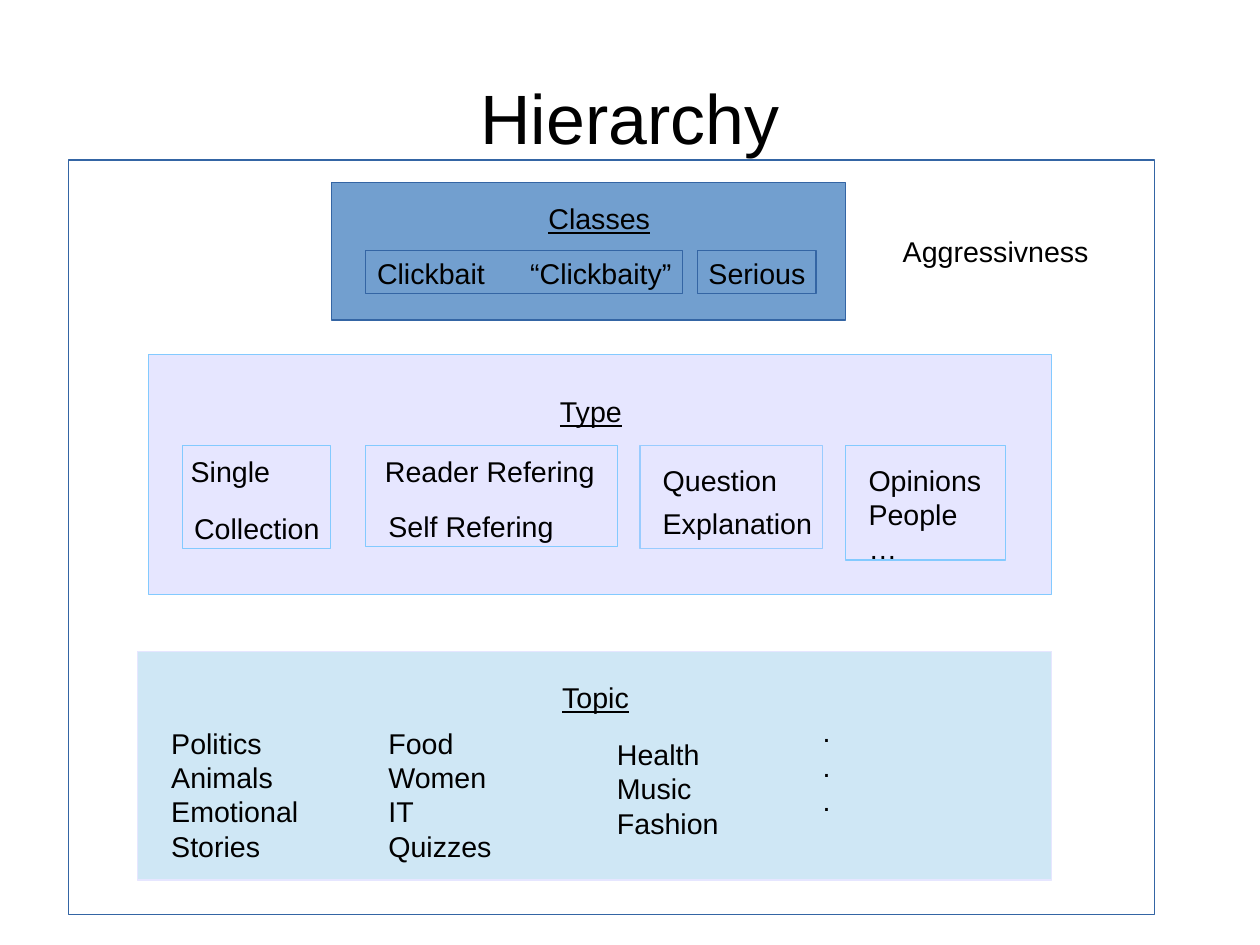
from pptx import Presentation
from pptx import util as u
from pptx.dml import color
from pptx.enum import shapes, text

BLACK, NAVY, SKY = "000000", "3465A4", "83CAFF"
CM_PER_INCH = 2.54


def rgb(hex_code):
    return color.RGBColor.from_string(hex_code)


class HierarchySlide:
    font = "Arial"
    body_size = 18
    slack = 0.04  # keeps a one-line label from breaking

    def __init__(self, deck):
        self.slide = deck.slides.add_slide(deck.slide_layouts[6])

    def box(self, left, top, width, height, line, fill=None):
        rect = self.slide.shapes.add_shape(
            shapes.MSO_SHAPE.RECTANGLE, u.Inches(left), u.Inches(top),
            u.Inches(width), u.Inches(height))
        rect.shadow.inherit = False
        if fill:
            rect.fill.solid()
            rect.fill.fore_color.rgb = rgb(fill)
        else:
            rect.fill.background()
        rect.line.color.rgb = rgb(line)
        rect.line.width = u.Pt(0)

    def frame(self, left, top, width, height, wrap):
        frame = self.slide.shapes.add_textbox(
            u.Inches(left), u.Inches(top),
            u.Inches(width), u.Inches(height)).text_frame
        frame.word_wrap = wrap
        return frame

    def label(self, left, top, width, height, lines, wrap=False, underline=False):
        room = width if wrap else width + self.slack
        frame = self.frame(left, top, room, height, wrap)
        frame.auto_size = text.MSO_AUTO_SIZE.SHAPE_TO_FIT_TEXT
        for index, line in enumerate(lines):
            paragraph = frame.add_paragraph() if index else frame.paragraphs[0]
            self.run(paragraph, line, self.body_size, underline)

    def title(self, left, top, width, height, words):
        frame = self.frame(left, top, width, height, True)
        frame.vertical_anchor = text.MSO_ANCHOR.MIDDLE
        frame.margin_left = frame.margin_right = 0
        frame.margin_top = frame.margin_bottom = 0
        frame.paragraphs[0].alignment = text.PP_ALIGN.CENTER
        self.run(frame.paragraphs[0], words, 44)

    def run(self, paragraph, words, size, underline=False):
        run = paragraph.add_run()
        run.text = words
        run.font.name = self.font
        run.font.size = u.Pt(size)
        run.font.color.rgb = rgb(BLACK)
        if underline:
            run.font.underline = True


def main():
    deck = Presentation()
    deck.slide_width = u.Inches(28 / CM_PER_INCH)
    deck.slide_height = u.Inches(21 / CM_PER_INCH)
    page = HierarchySlide(deck)

    # Level panels
    page.box(1.3, 3.1, 7.9, 2.1, SKY, "E6E6FF")
    page.box(2.9, 1.6, 4.5, 1.2, NAVY, "729FCF")
    page.box(1.2, 5.7, 8, 2, "E6E6FF", "CFE7F5")

    # Title and outer frame
    page.title(0.55, 0.33, 9.92, 1.38, "Hierarchy")
    page.box(0.6, 1.4, 9.5, 6.6, NAVY)

    # Level headings
    for left, top, width, heading in [(4.7, 1.71, 1.09, "Classes"),
                                      (4.8, 3.4, 0.74, "Type"),
                                      (4.82, 5.9, 0.78, "Topic")]:
        page.label(left, top, width, 0.38, [heading], underline=True)

    # Group outlines: classes, then types
    for left, width in [(3.2, 2.77), (6.1, 1.04)]:
        page.box(left, 2.19, width, 0.38, NAVY)
    for left, width, height, line in [(1.6, 1.29, 0.9, SKY), (3.2, 2.2, 0.88, SKY),
                                      (5.6, 1.6, 0.9, "99CCFF"), (7.4, 1.4, 1, SKY)]:
        page.box(left, 3.9, width, height, line)

    # Class and type names
    for left, top, width, name in [
            (3.2, 2.19, 1.14, "Clickbait"),
            (4.54, 2.19, 1.43, "“Clickbaity”"),
            (6.1, 2.19, 1.05, "Serious"),
            (7.8, 2, 1.82, "Aggressivness"),
            (1.57, 3.92, 0.91, "Single"),
            (1.6, 4.42, 1.3, "Collection"),
            (3.27, 3.92, 2.03, "Reader Refering"),
            (3.3, 4.4, 1.64, "Self Refering"),
            (5.7, 4, 1.2, "Question"),
            (5.7, 4.38, 1.5, "Explanation")]:
        page.label(left, top, width, 0.38, [name])
    page.label(7.5, 4, 1.18, 0.94, ["Opinions", "People", "…"])

    # Topic columns
    for left, top, width, height, topics in [
            (1.4, 6.3, 1.8, 1.22, ["Politics", "Animals", "Emotional Stories"]),
            (3.3, 6.3, 1.8, 1.22, ["Food", "Women", "IT", "Quizzes"]),
            (5.3, 6.4, 1.5, 0.94, ["Health", "Music", "Fashion"]),
            (7.1, 6.2, 0.4, 0.94, [".", ".", "."])]:
        page.label(left, top, width, height, topics, wrap=True)

    deck.save("out.pptx")


if __name__ == "__main__":
    main()
